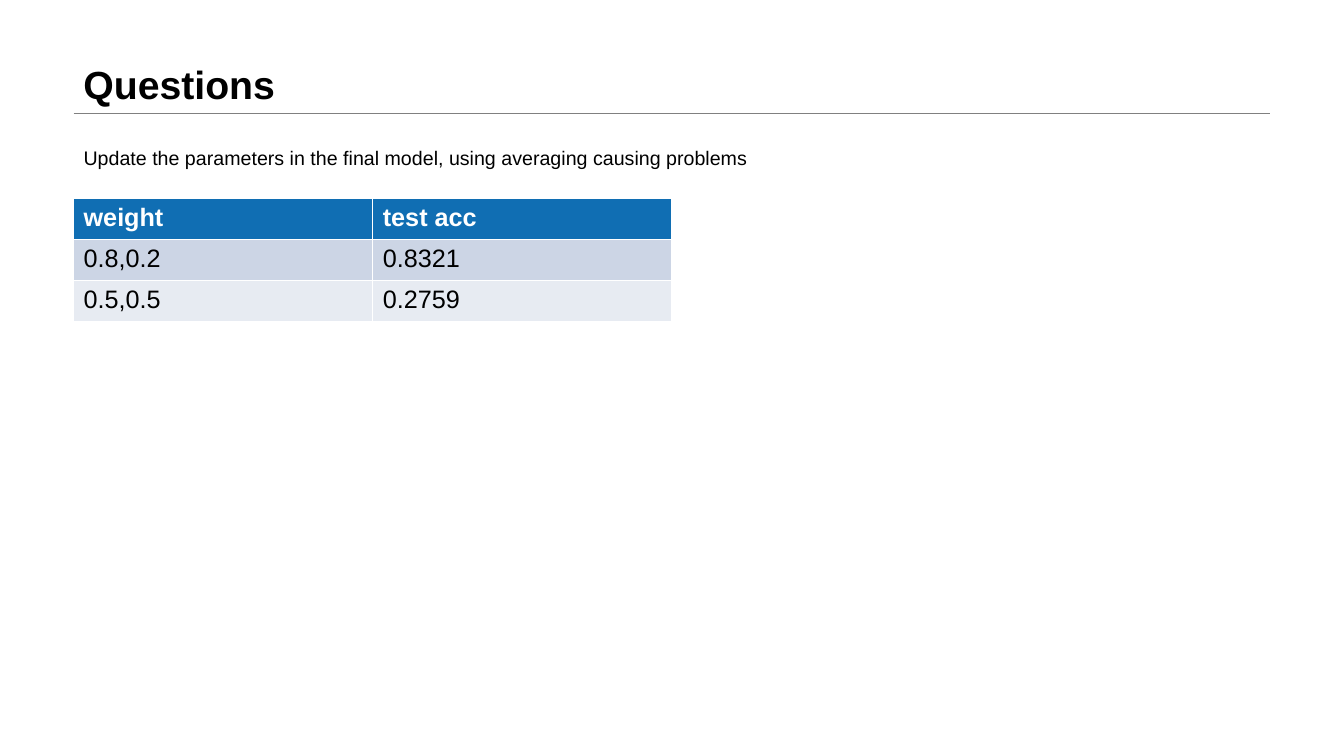
"""Build the Questions slide: ruled title, one remark and a table of test accuracy."""
from pptx import Presentation
from pptx.dml.color import RGBColor as RGB
from pptx.enum.text import MSO_ANCHOR as Anchor, MSO_AUTO_SIZE as Fit
from pptx.oxml import parse_xml
from pptx.oxml.ns import nsdecls
from pptx.util import Inches, Pt

BLACK = RGB(0x00, 0x00, 0x00)
WHITE = RGB(0xFF, 0xFF, 0xFF)
GRAY = RGB(0x80, 0x80, 0x80)
BLUE = RGB(0x10, 0x6E, 0xB3)
DARK = RGB(0xCC, 0xD5, 0xE5)
PALE = RGB(0xE7, 0xEB, 0xF2)

STYLES = {
    "title": {"size": Pt(28), "bold": True, "color": BLACK},
    "note": {"size": Pt(14), "bold": False, "color": BLACK},
    "head": {"size": Pt(18), "bold": True, "color": WHITE},
    "body": {"size": Pt(18), "bold": False, "color": BLACK},
}


def write(frame, text, style):
    """Put styled text in the first paragraph of a frame."""
    run = frame.paragraphs[0].add_run()
    run.text = text
    run.font.name = "Arial"
    for key, value in STYLES[style].items():
        if key == "color":
            run.font.color.rgb = value
        else:
            setattr(run.font, key, value)


deck = Presentation()
deck.slide_width, deck.slide_height = Inches(13.33), Inches(7.5)
slide = deck.slides.add_slide(deck.slide_layouts[6])
shapes = slide.shapes

left = Inches(0.73)
width = deck.slide_width - 2 * left
rule = Inches(1.12)

line = shapes.add_connector(1, left, rule, left + width, rule)
line.line.color.rgb = GRAY
line.line.width = Pt(0.25)
line._element.spPr.append(parse_xml(f"<a:effectLst {nsdecls('a')}/>"))

title = shapes.add_textbox(left, 0, width, rule).text_frame
title.word_wrap = True
title.vertical_anchor = Anchor.BOTTOM
title.paragraphs[0].line_spacing = 0.9
write(title, "Questions", "title")

note = shapes.add_textbox(left, Inches(1.4), Inches(6.81), Inches(0.34)).text_frame
note.word_wrap = False
note.auto_size = Fit.SHAPE_TO_FIT_TEXT
write(note, "Update the parameters in the final model, using averaging causing problems", "note")

rows = [
    ("head", BLUE, ("weight", "test acc")),
    ("body", DARK, ("0.8,0.2", "0.8321")),
    ("body", PALE, ("0.5,0.5", "0.2759")),
]
high = Inches(1.22)
table = shapes.add_table(len(rows), 2, left, Inches(1.97), width // 2, high).table
for r, (style, fill, texts) in enumerate(rows):
    for c, text in enumerate(texts):
        cell = table.cell(r, c)
        cell.fill.solid()
        cell.fill.fore_color.rgb = fill
        write(cell.text_frame, text, style)

deck.save("out.pptx")
